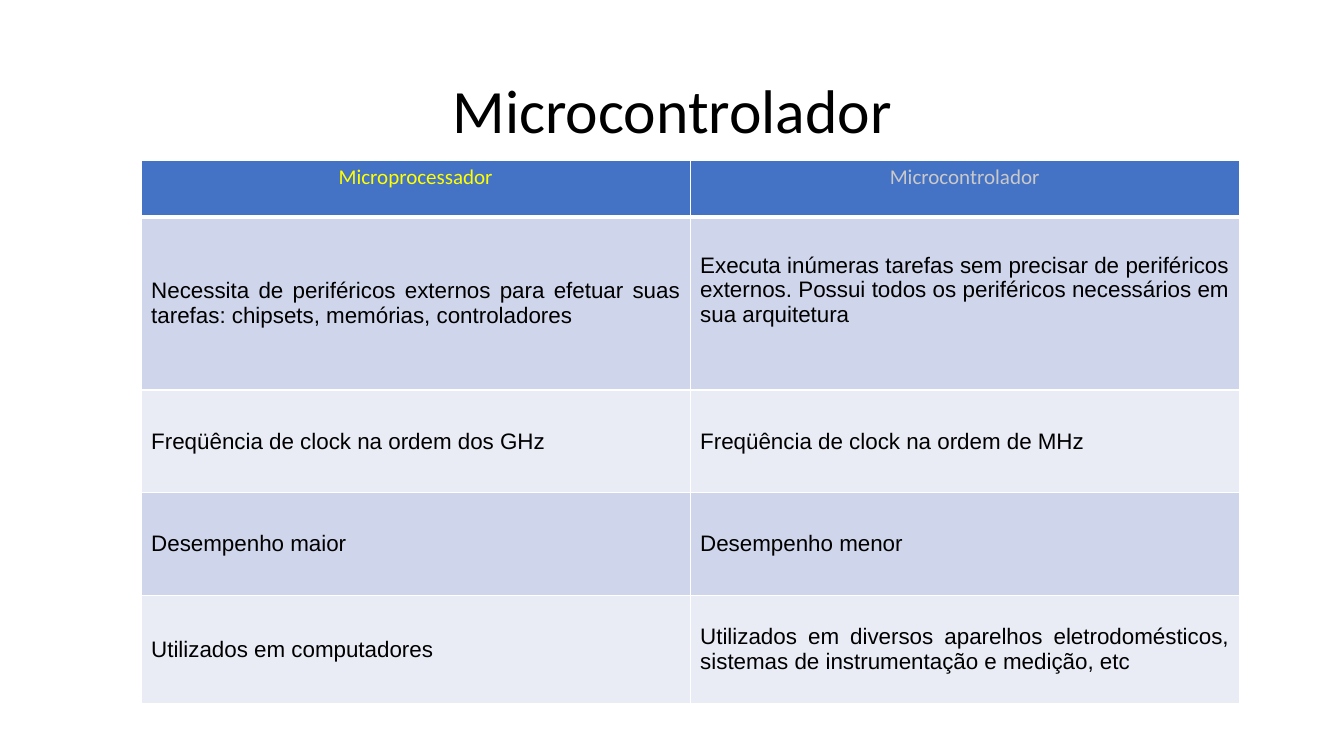
from lxml import etree
from pptx import Presentation
from pptx.dml.color import RGBColor
from pptx.enum.text import MSO_ANCHOR, PP_ALIGN
from pptx.oxml.ns import qn
from pptx.util import Inches, Pt

CENTER, JUSTIFY = PP_ALIGN.CENTER, PP_ALIGN.JUSTIFY
TOP, MIDDLE = MSO_ANCHOR.TOP, MSO_ANCHOR.MIDDLE
TITLE_ONLY = 5

HEADERS = [("Microprocessador", "FFFF00"), ("Microcontrolador", "C9C9C9")]
COMPARISON = [
    ("Necessita de periféricos externos para efetuar suas tarefas: "
     "chipsets, memórias, controladores",
     "Executa inúmeras tarefas sem precisar de periféricos externos. "
     "Possui todos os periféricos necessários em sua arquitetura"),
    ("Freqüência de clock na ordem dos GHz",
     "Freqüência de clock na ordem de MHz"),
    ("Desempenho maior", "Desempenho menor"),
    ("Utilizados em computadores",
     "Utilizados em diversos aparelhos eletrodomésticos, "
     "sistemas de instrumentação e medição, etc"),
]
ROW_HEIGHTS = [0.56, 1.72, 1.02, 1.02, 1.07]
HEADER_FILL = "4472C4"
BAND_FILLS = ["CFD5EA", "E9EBF5"]


def color(value):
    return RGBColor.from_string(value)


def format_paragraph(para, name, size, value, align):
    para.alignment = align
    para.font.name = name
    para.font.size = Pt(size)
    para.font.bold = False
    para.font.color.rgb = color(value)


def add_borders(cell, bottom=1):
    """Draw white lines on all four sides, with widths in points."""
    properties = cell._tc.get_or_add_tcPr()
    widths = {"lnL": 1, "lnR": 1, "lnT": 1, "lnB": bottom}
    for index, (side, width) in enumerate(widths.items()):
        line = etree.Element(qn("a:" + side), w=str(Pt(width)))
        fill = etree.SubElement(line, qn("a:solidFill"))
        etree.SubElement(fill, qn("a:srgbClr"), val="FFFFFF")
        properties.insert(index, line)


def fill_cell(cell, text, fill, anchor, bottom_line=1):
    cell.text = text
    cell.vertical_anchor = anchor
    cell.margin_left = cell.margin_right = Inches(0.1)
    cell.margin_top = cell.margin_bottom = Inches(0.04)
    cell.fill.solid()
    cell.fill.fore_color.rgb = color(fill)
    add_borders(cell, bottom_line)
    return cell.text_frame.paragraphs[0]


def add_title(page, text, box):
    title = page.shapes.title
    title.left, title.top, title.width, title.height = map(Inches, box)
    title.text_frame.text = text
    title.text_frame.vertical_anchor = MIDDLE
    para = title.text_frame.paragraphs[0]
    para.line_spacing = 0.9
    format_paragraph(para, "Calibri", 44, "000000", CENTER)


def add_comparison(page, box):
    frame = page.shapes.add_table(len(ROW_HEIGHTS), len(HEADERS),
                                  *map(Inches, box))
    table = frame.table
    table.first_row = table.horz_banding = False
    for column in table.columns:
        column.width = Inches(box[2] / len(HEADERS))
    for row, height in zip(table.rows, ROW_HEIGHTS):
        row.height = Inches(height)

    for column, (text, value) in enumerate(HEADERS):
        para = fill_cell(table.cell(0, column), text, HEADER_FILL, TOP, 3)
        format_paragraph(para, "Calibri", 15, value, CENTER)
    for row, texts in enumerate(COMPARISON, start=1):
        fill = BAND_FILLS[(row - 1) % len(BAND_FILLS)]
        for column, text in enumerate(texts):
            para = fill_cell(table.cell(row, column), text, fill, MIDDLE)
            format_paragraph(para, "Arial", 16, "000000", JUSTIFY)
    # The longest text sits slightly above the middle of its cell.
    table.cell(1, 1).margin_bottom = Inches(0.3)


def main():
    deck = Presentation()
    deck.slide_width, deck.slide_height = Inches(13.33), Inches(7.5)
    page = deck.slides.add_slide(deck.slide_layouts[TITLE_ONLY])
    add_title(page, "Microcontrolador", (0.92, 0.4, 11.5, 1.45))
    add_comparison(page, (1.4, 1.59, 10.89, sum(ROW_HEIGHTS)))
    deck.save("out.pptx")


if __name__ == "__main__":
    main()
